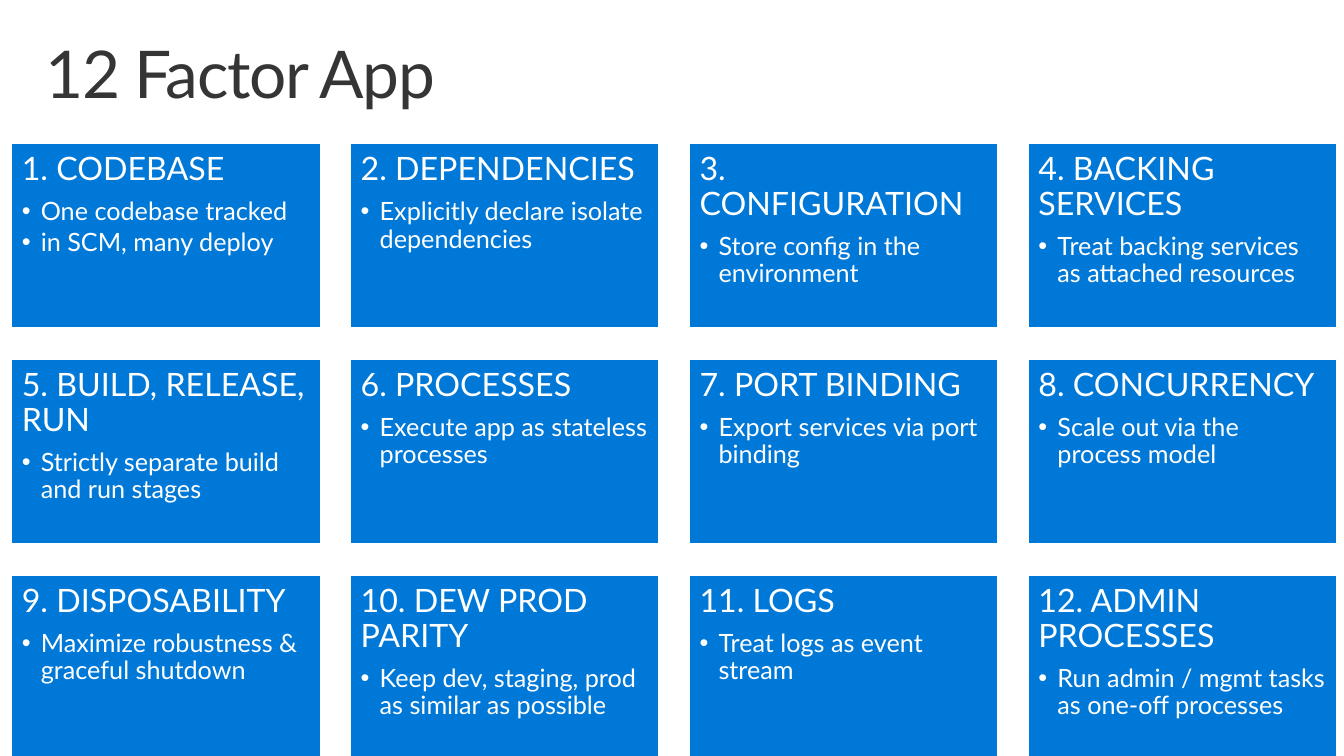
from pptx import Presentation
from pptx.dml.color import RGBColor
from pptx.enum.shapes import MSO_SHAPE as Shape
from pptx.enum.text import MSO_ANCHOR as Anchor, MSO_AUTO_SIZE as Fit, PP_ALIGN as Align
from pptx.oxml.ns import qn
from pptx.util import Cm, Pt
from lxml import etree

BLUE = RGBColor(0x00, 0x78, 0xD7)
WHITE = RGBColor(0xFF, 0xFF, 0xFF)
DARK = RGBColor(0x35, 0x35, 0x35)

FACTORS = [
    ("CODEBASE", ["One codebase tracked", "in SCM, many deploy"]),
    ("DEPENDENCIES", ["Explicitly declare isolate dependencies"]),
    ("CONFIGURATION", ["Store config in the environment"]),
    ("BACKING SERVICES", ["Treat backing services as attached resources"]),
    ("BUILD, RELEASE, RUN", ["Strictly separate build and run stages"]),
    ("PROCESSES", ["Execute app as stateless processes"]),
    ("PORT BINDING", ["Export services via port binding"]),
    ("CONCURRENCY", ["Scale out via the process model"]),
    ("DISPOSABILITY", ["Maximize robustness & graceful shutdown"]),
    ("DEW PROD PARITY", ["Keep dev, staging, prod as similar as possible"]),
    ("LOGS", ["Treat logs as event stream"]),
    ("ADMIN PROCESSES", ["Run admin / mgmt tasks as one-off processes"]),
]


def set_frame(frame, side, edge):
    frame.word_wrap = True
    frame.auto_size = Fit.NONE
    frame.vertical_anchor = Anchor.TOP
    frame.margin_left = frame.margin_right = Cm(side)
    frame.margin_top = frame.margin_bottom = Cm(edge)


def add_text(para, text, size, color, after):
    para.alignment = Align.LEFT
    para.line_spacing = 0.9
    para.space_before = Pt(0)
    para.space_after = Pt(after)
    run = para.add_run()
    run.text = text
    run.font.name = "Lato"
    run.font.size = Pt(size)
    run.font.color.rgb = color
    return run


deck = Presentation()
deck.slide_width, deck.slide_height = Cm(33.87), Cm(19.05)
slide = deck.slides.add_slide(deck.slide_layouts[5])

title = slide.shapes.title
title.left, title.top = Cm(0.74), Cm(0.81)
title.width, title.height = Cm(32.39), Cm(2.49)
set_frame(title.text_frame, 0.41, 0.25)
run = add_text(title.text_frame.paragraphs[0], "12 Factor App", 47, DARK, 0)
run.font._element.set("spc", "-100")

for i, (name, notes) in enumerate(FACTORS):
    row, col = divmod(i, 4)
    card = slide.shapes.add_shape(
        Shape.RECTANGLE, Cm(0.3 + 8.54 * col), Cm(3.61 + 5.44 * row), Cm(7.77), Cm(4.65))
    card.shadow.inherit = False
    card.fill.solid()
    card.fill.fore_color.rgb = BLUE
    card.line.color.rgb = WHITE
    card.line.width = Pt(0.85)
    frame = card.text_frame
    set_frame(frame, 0.25, 0.25)
    add_text(frame.paragraphs[0], f"{i + 1}. {name}", 23, WHITE, 8)
    for note in notes:
        para = frame.add_paragraph()
        para.level = 1
        props = para._p.get_or_add_pPr()
        props.set("marL", str(Cm(0.48)))
        props.set("indent", str(-Cm(0.48)))
        etree.SubElement(props, qn("a:buFont")).set("typeface", "Arial")
        etree.SubElement(props, qn("a:buChar")).set("char", "•")
        add_text(para, note, 18, WHITE, 2.7)

deck.save("out.pptx")
